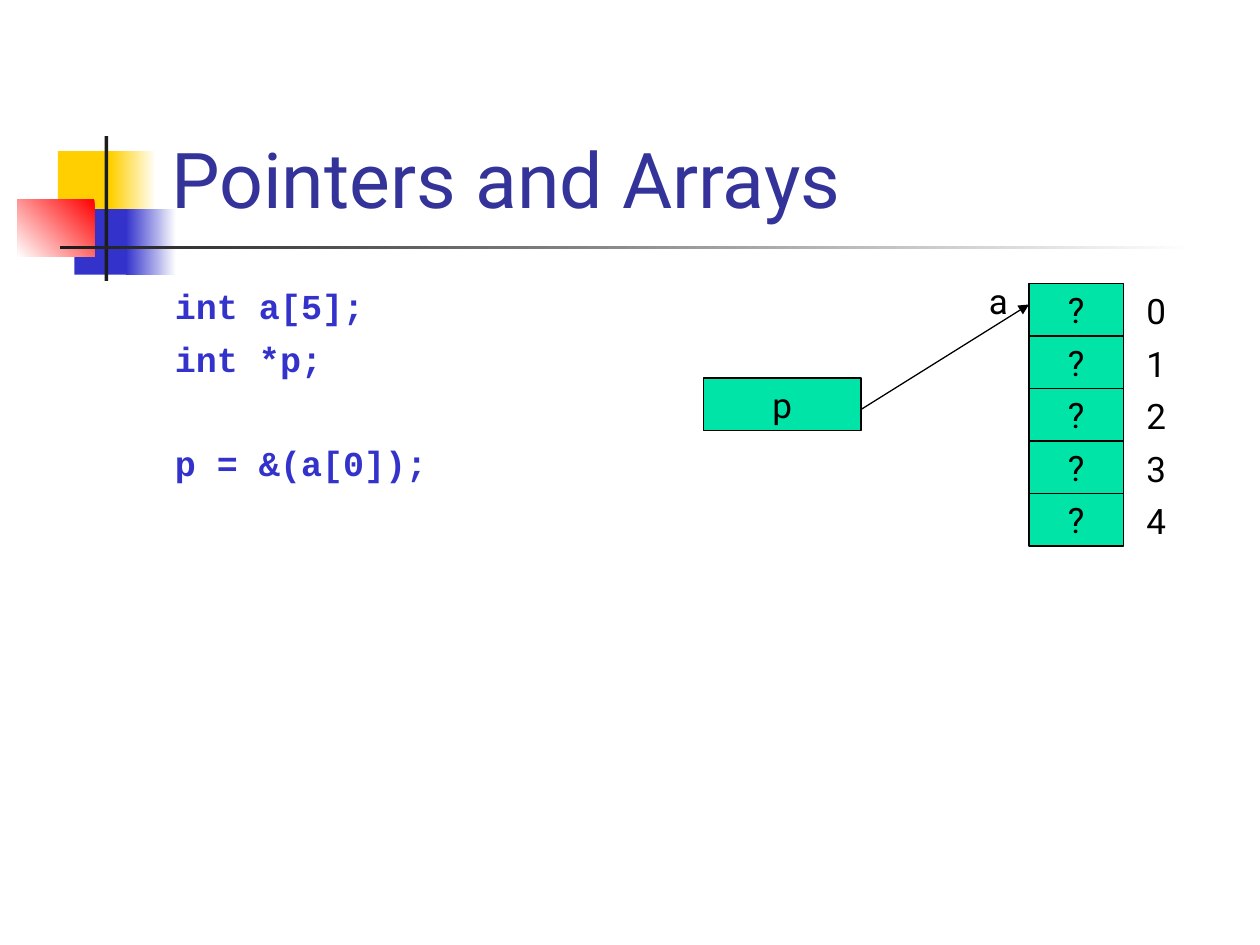
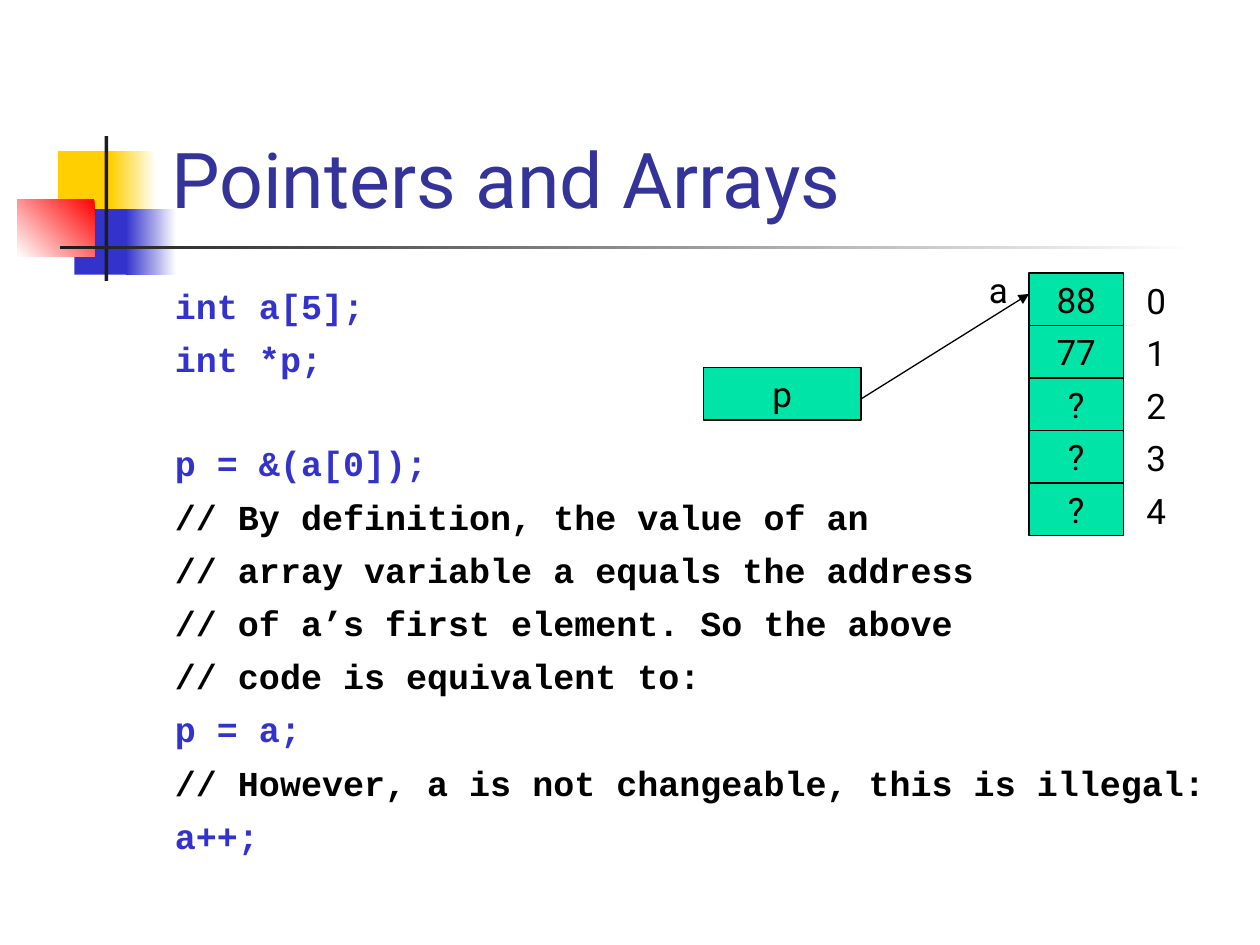
from pptx import Presentation
from pptx.dml.color import RGBColor as Rgb
from pptx.enum.shapes import MSO_CONNECTOR as Link, MSO_SHAPE as Kind
from pptx.enum.text import MSO_ANCHOR as Anchor, PP_ALIGN as Align
from pptx.oxml.ns import qn
from pptx.util import Inches, Pt
from lxml.etree import SubElement

BLACK, WHITE, BLUE, NAVY = "000000", "FFFFFF", "3333CC", "333399"
GOLD, RED, DARK, GREEN = "FFCF01", "FF0000", "1C1C1C", "00E4A8"
UNIT = Inches(1) // 12  # the memory diagram sits on twelfths of an inch
CELL = 5                # height of a memory cell in units

# left, top, width, height in inches; one colour, or two and an angle
DECOR = [
    (0.46, 1.2, 0.48, 0.52, [GOLD], 0),
    (0.88, 1.2, 0.36, 0.52, [WHITE, GOLD], 180),
    (0.59, 1.66, 0.46, 0.52, [BLUE], 0),
    (1, 1.66, 0.4, 0.52, [WHITE, BLUE], 180),
    (0.14, 1.58, 0.61, 0.46, [RED, WHITE], 225),
    (0.83, 1.08, 0.03, 1.15, [DARK], 0),
    (0.48, 1.95, 9, 0.03, [WHITE, DARK], 180),
]

START = ["int a[5];", "int *p;", "", "p = &(a[0]);"]
NOTES = [
    "// By definition, the value of an",
    "// array variable a equals the address",
    "// of a’s first element. So the above",
    "// code is equivalent to:",
    "p = a;",
    "// However, a is not changeable, this is illegal:",
    "a++;",
]

# code lines, cell values, top row of the array in units
PAGES = [
    (START, ["?"] * 5, 27),
    (START + NOTES, ["88", "77", "?", "?", "?"], 26),
]


def tint(color, code):
    color.rgb = Rgb.from_string(code)


def write(para, text, size=20, code=BLACK, face="Roboto"):
    para.text = text
    para.font.size, para.font.name = Pt(size), face
    tint(para.font.color, code)


deck = Presentation()
deck.slide_width, deck.slide_height = Inches(10), Inches(7.5)

for code, values, top in PAGES:
    slide = deck.slides.add_slide(deck.slide_layouts[6])
    shapes = slide.shapes

    for *place, colors, angle in DECOR:
        block = shapes.add_shape(Kind.RECTANGLE, *map(Inches, place))
        block.shadow.inherit = False
        block.line.fill.background()
        if len(colors) == 1:
            block.fill.solid()
            tint(block.fill.fore_color, colors[0])
        else:
            block.fill.gradient()
            block.fill.gradient_angle = angle
            for stop, shade in zip(block.fill.gradient_stops, colors):
                tint(stop.color, shade)

    title = shapes.add_textbox(*map(Inches, (1.26, 0.23, 8.52, 1.6))).text_frame
    title.word_wrap = True
    title.vertical_anchor = Anchor.BOTTOM
    write(title.paragraphs[0], "Pointers and Arrays", 44, NAVY)

    body = shapes.add_textbox(*map(Inches, (1.29, 2.21, 8.5, 4.5))).text_frame
    body.word_wrap = True
    para, gap = body.paragraphs[0], 5
    for line in code:
        if not line:
            gap += 29  # leave one line free
            continue
        para = para if gap == 5 else body.add_paragraph()
        write(para, line, 20, BLACK if line.startswith("//") else BLUE, "Courier New")
        para.font.bold = True
        para.space_before = Pt(gap)
        gap = 6.4

    # array cells, then the pointer: text, left, top, width in units
    cells = [(value, 98, top + CELL * row, 9) for row, value in enumerate(values)]
    cells.append(("p", 67, top + 9, 15))
    for text, x, y, wide in cells:
        cell = shapes.add_shape(Kind.RECTANGLE, x * UNIT, y * UNIT, wide * UNIT, CELL * UNIT)
        cell.shadow.inherit = False
        cell.fill.solid()
        tint(cell.fill.fore_color, GREEN)
        tint(cell.line.color, BLACK)
        cell.line.width = Pt(0.75)
        cell.text_frame.word_wrap = False
        cell.text_frame.vertical_anchor = Anchor.MIDDLE
        para = cell.text_frame.paragraphs[0]
        para.alignment = Align.CENTER
        write(para, text)

    arrow = shapes.add_connector(Link.STRAIGHT, 82 * UNIT, (top + 12) * UNIT,
                                 98 * UNIT, (top + 2) * UNIT)
    tint(arrow.line.color, BLACK)
    arrow.line.width = Pt(0.75)
    props = arrow.line._get_or_add_ln()
    SubElement(props, qn("a:tailEnd"), type="triangle")
    SubElement(props.getparent(), qn("a:effectLst"))

    labels = [(str(row), 108, top + CELL * row) for row in range(len(values))]
    labels.append(("a", 93, top - 1))
    for text, x, y in labels:
        label = shapes.add_textbox(x * UNIT, y * UNIT, 6 * UNIT, Inches(0.44))
        label.text_frame.word_wrap = True
        write(label.text_frame.paragraphs[0], text)

deck.save("out.pptx")
